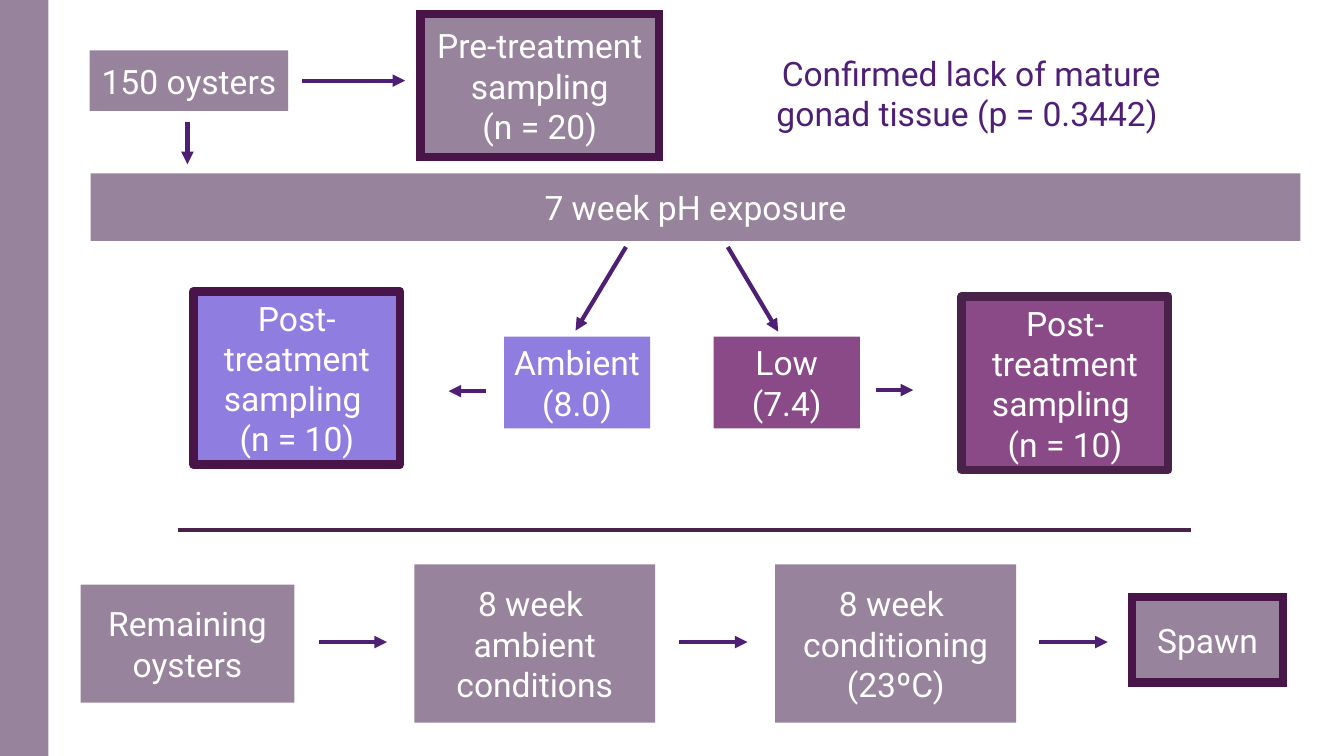
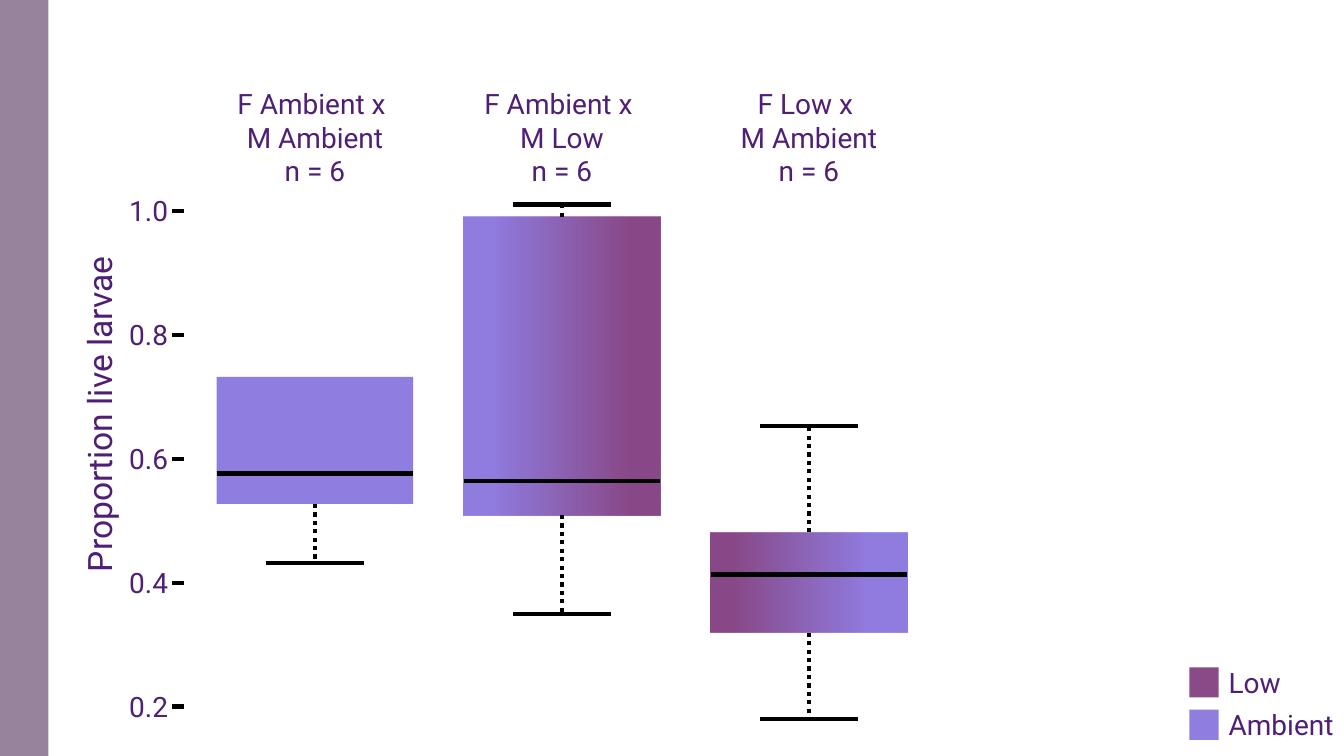
from dataclasses import dataclass

from pptx import Presentation
from pptx import util as u
from pptx.dml.color import RGBColor
from pptx.enum import dml, shapes, text
from pptx.oxml.ns import qn
from lxml import etree

# Grid: square cells, a tenth of an inch wide
CELL = u.Inches(0.1)
COLS, ROWS = 133.33, 75

FONT = "Roboto"
MAUVE, AMBIENT, LOW = "7E6583", "755DD9", "6D1D6B"
PLUM, DARK_PLUM, INDIGO = "491447", "4A2249", "4F1F76"
WHITE, BLACK = "FFFFFF", "000000"
OPACITY = "80000"


@dataclass
class Area:
    col: float
    row: float
    cols: float
    rows: float


@dataclass
class Step:
    area: Area
    lines: tuple[str, ...]
    fill: str = MAUVE
    border: str | None = None
    mitred: bool = False


@dataclass
class Cross:
    """One box of the box plot; values are percentages."""
    lines: tuple[str, ...]
    q1: float
    median: float
    q3: float
    low: float
    high: float | None
    stops: tuple[tuple[float, str], ...]


# ---- Shared helpers ----
def rgb(value: str) -> RGBColor:
    return RGBColor.from_string(value)


def grid(*cells: float) -> list[int]:
    return [round(c * CELL) for c in cells]


def place(area: Area) -> list[int]:
    return grid(area.col, area.row, area.cols, area.rows)


def write(sp, lines, size=24, color=WHITE, align=text.PP_ALIGN.CENTER, right_inset=1.0):
    tf = sp.text_frame
    tf.word_wrap = True
    tf.vertical_anchor = text.MSO_ANCHOR.MIDDLE
    tf.margin_right = grid(right_inset)[0]
    for i, line in enumerate(lines):
        p = tf.paragraphs[0] if i == 0 else tf.add_paragraph()
        p.alignment = align
        r = p.add_run()
        r.text = line
        r.font.name, r.font.size = FONT, u.Pt(size)
        r.font.color.rgb = rgb(color)


def add_label(s, area: Area, lines, **style):
    sp = s.shapes.add_textbox(*place(area))
    write(sp, lines, color=INDIGO, **style)
    return sp


def add_block(s, area: Area, *stops: tuple[float, str]):
    """Translucent rectangle: one stop fills it plainly, two make a gradient."""
    sp = s.shapes.add_shape(shapes.MSO_SHAPE.RECTANGLE, *place(area))
    sp.shadow.inherit = False
    if len(stops) == 1:
        sp.fill.solid()
        sp.fill.fore_color.rgb = rgb(stops[0][1])
    else:
        sp.fill.gradient()
        sp.fill.gradient_angle = 180
        for stop, (position, color) in zip(sp.fill.gradient_stops, stops):
            stop.position = position
            stop.color.rgb = rgb(color)
    for clr in list(sp._element.spPr.iter(qn("a:srgbClr"))):
        etree.SubElement(clr, qn("a:alpha"), val=OPACITY)
    sp.line.fill.background()
    return sp


def add_line(s, x1, y1, x2, y2, color=BLACK, arrow=False, dotted=False):
    c = s.shapes.add_connector(shapes.MSO_CONNECTOR.STRAIGHT, *grid(x1, y1, x2, y2))
    c.line.color.rgb = rgb(color)
    c.line.width = u.Pt(3)
    if dotted:
        c.line.dash_style = dml.MSO_LINE.ROUND_DOT
    sp_pr = c._element.spPr
    if arrow:
        etree.SubElement(sp_pr.find(qn("a:ln")), qn("a:tailEnd"), type="triangle")
    etree.SubElement(sp_pr, qn("a:effectLst"))
    return c


def new_slide(prs):
    s = prs.slides.add_slide(prs.slide_layouts[6])
    add_block(s, Area(0, 0, 4.8, ROWS), (0, MAUVE))
    return s


# ---- Slide 1: experiment flow ----
POST_LINES = ("Post-treatment sampling ", "(n = 10)")
STEPS = [
    Step(Area(8.9, 5, 19.7, 6), ("150 oysters",)),
    Step(Area(41.7, 1.4, 23.7, 14.2), ("Pre-treatment sampling", "(n = 20)"),
         border=PLUM, mitred=True),
    Step(Area(9, 17.2, 120, 6.7), ("7 week pH exposure",)),
    Step(Area(50, 33.4, 14.5, 9.1), ("Ambient ", "(8.0)"), AMBIENT),
    Step(Area(70.8, 33.4, 14.5, 9.1), ("Low", "(7.4)"), LOW),
    Step(Area(19.2, 28.9, 20.5, 17.2), POST_LINES, AMBIENT, PLUM),
    Step(Area(95.4, 29.4, 20.5, 17.2), POST_LINES, LOW, DARK_PLUM),
    Step(Area(8, 58, 21.2, 11.7), ("Remaining oysters",)),
    Step(Area(41.1, 56, 23.9, 15.7), ("8 week ", "ambient conditions")),
    Step(Area(76.9, 56, 23.9, 15.7), ("8 week ", "conditioning (23ºC)")),
    Step(Area(112.3, 59.2, 15, 8.5), ("Spawn",), border=PLUM, mitred=True),
]
ARROWS = [
    (30, 8, 40.2, 8),
    (18.6, 12.1, 18.6, 16.3),
    (62.1, 24.5, 57.1, 32.8),
    (72.2, 24.5, 77.2, 32.9),
    (48.2, 38.8, 44.5, 38.8),
    (86.9, 38.7, 90.6, 38.7),
    *((31.6 + 35.75 * i, 63.7, 38.4 + 35.75 * i, 63.7) for i in range(3)),
]


def add_step(s, step: Step) -> None:
    sp = add_block(s, step.area, (0, step.fill))
    write(sp, step.lines)
    if step.border:
        sp.line.color.rgb = rgb(step.border)
        sp.line.width = u.Pt(6)
        if step.mitred:
            etree.SubElement(sp._element.spPr.find(qn("a:ln")), qn("a:miter"), lim="800000")


def build_flow(prs) -> None:
    s = new_slide(prs)
    add_line(s, 17.7, 52.6, 118.2, 52.6, DARK_PLUM)
    for step in STEPS:
        add_step(s, step)
    for ends in ARROWS:
        add_line(s, *ends, INDIGO, arrow=True)
    add_label(s, Area(73.6, 4.7, 45.5, 9.1),
              ("Confirmed lack of mature gonad tissue (p = 0.3442) ",))


# ---- Slide 2: box plot ----
CROSSES = [
    Cross(("F Ambient x ", "M Ambient", "n = 6"), 52.7, 57.6, 73.2, 43.1, None,
          ((0, AMBIENT),)),
    Cross(("F Ambient x ", "M Low", "n = 6"), 50.9, 56.4, 99, 35, 101,
          ((0.16, LOW), (0.86, AMBIENT))),
    Cross(("F Low x ", "M Ambient", "n = 6"), 31.9, 41.3, 48.1, 18, 65.2,
          ((0.2, AMBIENT), (0.88, LOW))),
]
FIRST_COL, PITCH, BOX_COLS, CAP_COLS = 21.5, 24.5, 19.5, 9.8


def value_row(percent: float) -> float:
    return 20.9 + (100 - percent) * 0.615


def add_cross(s, index: int, cross: Cross) -> None:
    left = FIRST_COL + index * PITCH
    mid = left + BOX_COLS / 2
    top, bottom = value_row(cross.q3), value_row(cross.q1)
    box = add_block(s, Area(left, top, BOX_COLS, bottom - top), *cross.stops)
    median = value_row(cross.median)
    add_line(s, left, median, left + BOX_COLS, median)
    for value, side in ((cross.high, 0), (cross.low, 2)):
        if value is None:
            continue
        cap = value_row(value)
        add_line(s, mid - CAP_COLS / 2, cap, mid + CAP_COLS / 2, cap)
        whisker = add_line(s, mid, top, mid, cap, dotted=True)
        whisker.begin_connect(box, side)
    add_label(s, Area(left, 8.2, BOX_COLS, 10.8), cross.lines, size=20)


def build_box_plot(prs) -> None:
    s = new_slide(prs)
    # Vertical axis
    title = add_label(s, Area(-9.8, 38.6, 39.2, 5), ("Proportion live larvae",))
    title.rotation = 270
    for percent in range(20, 101, 20):
        row = value_row(percent)
        add_line(s, 17.1, row, 18.3, row)
        add_label(s, Area(11.7, row - 2.2, 6.1, 4.4), (f"{percent / 100:.1f}",), size=20)
    # Boxes and whiskers
    for i, cross in enumerate(CROSSES):
        add_cross(s, i, cross)
    # Legend
    for i, (name, color) in enumerate((("Low", LOW), ("Ambient", AMBIENT))):
        row = 66.2 + 4.2 * i
        add_block(s, Area(118, row, 2.9, 3), (0, color))
        add_label(s, Area(120.9, row - 0.7, 12.4, 4.4), (name,), size=20,
                  align=text.PP_ALIGN.LEFT, right_inset=0)


def main() -> None:
    prs = Presentation()
    prs.slide_width, prs.slide_height = grid(COLS, ROWS)
    build_flow(prs)
    build_box_plot(prs)
    prs.save("out.pptx")


if __name__ == "__main__":
    main()
